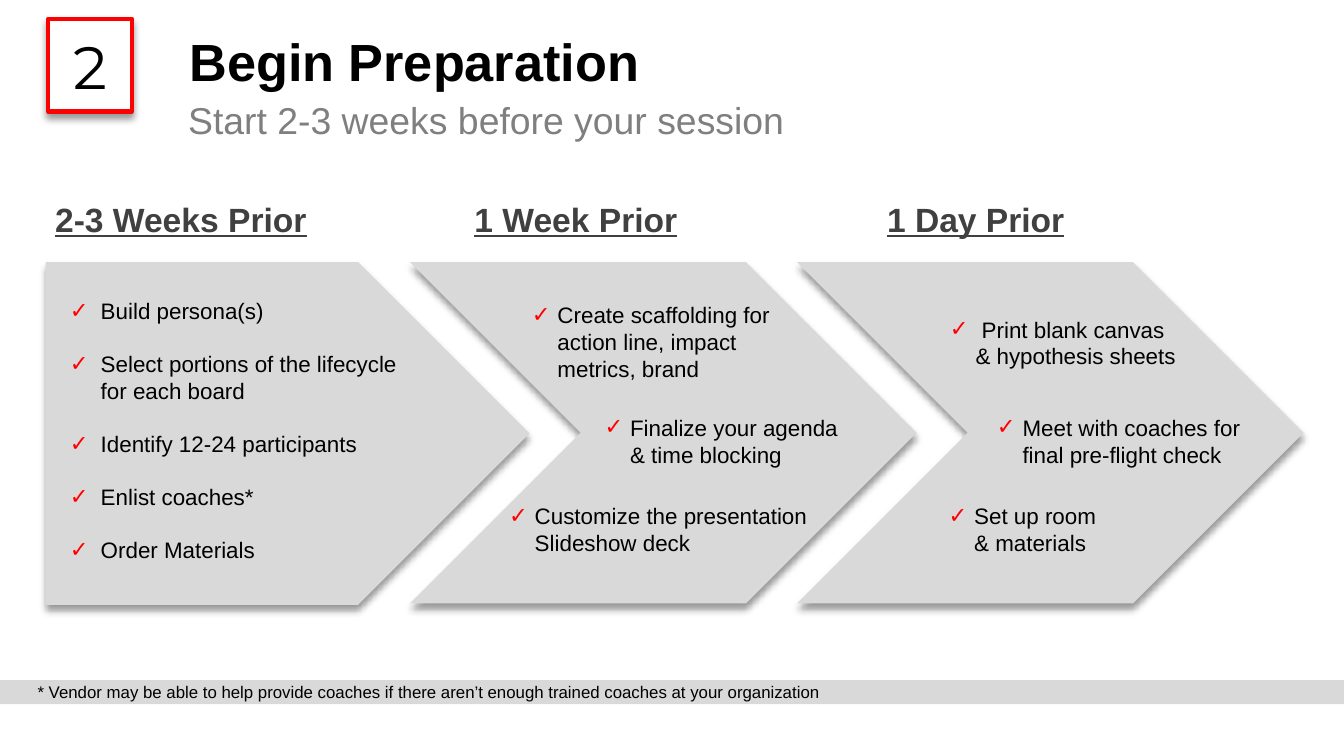
from lxml.etree import SubElement
from pptx import Presentation
from pptx.dml.color import RGBColor
from pptx.enum.shapes import MSO_SHAPE
from pptx.enum.text import MSO_ANCHOR, PP_ALIGN
from pptx.oxml import parse_xml
from pptx.oxml.ns import nsdecls, qn
from pptx.util import Inches, Pt

# A 16:9 page with a grid of 100 columns and square cells
deck = Presentation()
deck.slide_width = Inches(10)
deck.slide_height = deck.slide_width * 9 // 16
CELL = deck.slide_width // 100
page = deck.slides.add_slide(deck.slide_layouts[5])
color = RGBColor.from_string
GRAY, RED, BLACK, WHITE = "D9D9D9", "FF0000", "000000", "FFFFFF"


def add_panel(kind, area, fill, shadow=True):
    """Add a filled shape without outline; area is in grid cells."""
    panel = page.shapes.add_shape(kind, *(round(n * CELL) for n in area))
    panel.fill.solid()
    panel.fill.fore_color.rgb = color(fill)
    panel.line.fill.background()
    panel.shadow.inherit = False
    if shadow:
        effects = panel._element.spPr.find(qn("a:effectLst"))
        effects.append(parse_xml(
            f'<a:outerShdw {nsdecls("a")} blurRad="{Pt(4)}" dist="{Pt(3)}" '
            f'dir="5400000" algn="t" rotWithShape="0"><a:srgbClr val="{BLACK}">'
            '<a:alpha val="40000"/></a:srgbClr></a:outerShdw>'))
    return panel


def write(box, lines, size, ink=BLACK, font="Arial", bold=False, inset=0, indent=0):
    """Fill a shape with paragraphs; an indent in inches gives red check marks."""
    frame = box.text_frame
    frame.word_wrap = True
    frame.vertical_anchor = MSO_ANCHOR.TOP
    frame.margin_left = frame.margin_right = Inches(inset)
    frame.margin_top = frame.margin_bottom = Inches(inset / 2)
    for index, line in enumerate(lines):
        para = frame.add_paragraph() if index else frame.paragraphs[0]
        para.text = line
        para.alignment = PP_ALIGN.LEFT
        if indent:
            props = para._p.get_or_add_pPr()
            props.set("marL", str(Inches(indent)))
            props.set("indent", str(-Inches(indent)))
            bullet_color = SubElement(props, qn("a:buClr"))
            SubElement(bullet_color, qn("a:srgbClr"), val=RED)
            SubElement(props, qn("a:buFont"), typeface=font)
            SubElement(props, qn("a:buChar"), char="✓")
        para.font.size = Pt(size)
        para.font.name = font
        para.font.bold = bold
        para.font.color.rgb = color(ink)
    return frame


# Footer band
add_panel(MSO_SHAPE.RECTANGLE, (0, 50.6, 100, 1.8), GRAY, shadow=False)

# Title
title = page.shapes.title
title.left, title.top, title.width, title.height = (
    round(n * CELL) for n in (14.1, 2.2, 83.7, 4.7))
write(title, ["Begin Preparation"], 28, bold=True)

# Step number
badge = add_panel(MSO_SHAPE.RECTANGLE, (3.6, 1.4, 6.2, 6.9), WHITE)
badge.line.color.rgb = color(RED)
badge.line.width = Pt(2.25)
number = write(badge, ["2"], 32, font="Montserrat")
number.vertical_anchor = MSO_ANCHOR.MIDDLE
number.paragraphs[0].alignment = PP_ALIGN.CENTER

# Timeline arrows
add_panel(MSO_SHAPE.PENTAGON, (3.4, 19.5, 36, 25.5), GRAY)
for left in (30.5, 59.3):
    add_panel(MSO_SHAPE.CHEVRON, (left, 19.5, 37.7, 25.4), GRAY)

# Subtitle and footnote
plain_texts = [
    ((14, 7.2, 84, 3.5), "Start 2-3 weeks before your session", 20, "7F7F7F"),
    ((2.8, 50.7, 58.6, 3.8), "* Vendor may be able to help provide coaches if there "
     "aren’t enough trained coaches at your organization", 9, BLACK),
]
for area, text, size, ink in plain_texts:
    box = page.shapes.add_textbox(*(round(n * CELL) for n in area))
    write(box, [text], size, ink)

# Phase headings on tab stops
box = page.shapes.add_textbox(*(round(n * CELL) for n in (4.1, 13.8, 91.1, 5)))
headings = write(box, [""], 18, "404040", bold=True)
headings.vertical_anchor = MSO_ANCHOR.MIDDLE
para = headings.paragraphs[0]
props = para._p.get_or_add_pPr()
tabs = parse_xml(f'<a:tabLst {nsdecls("a")}/>')
for stop in (3.12, 6.19):
    SubElement(tabs, qn("a:tab"), pos=str(Inches(stop)), algn="l")
props.insert(0, tabs)
for index, heading in enumerate(["2-3 Weeks Prior", "1 Week Prior", "1 Day Prior"]):
    if index:
        para.add_run().text = "\t"
    span = para.add_run()
    span.text = heading
    span.font.underline = True

# First phase checklist
box = page.shapes.add_textbox(*(round(n * CELL) for n in (5.2, 22.1, 26.4, 23.3)))
checklist = write(box, [
    "Build persona(s)",
    "Select portions of the lifecycle for each board",
    "Identify 12-24 participants",
    "Enlist coaches*",
    "Order Materials",
], 12, indent=0.23)
for index, para in enumerate(checklist.paragraphs):
    para.space_before = Pt(12 if index else 0)
    para.space_after = Pt(2)

# Tasks of the second and third phases
tasks = [
    ((38.6, 21.9, 20, 7.1), "Create scaffolding for action line, impact metrics, brand"),
    ((44, 30.3, 20.3, 5), "Finalize your agenda & time blocking"),
    ((36.9, 36.9, 24.5, 5), "Customize the presentation Slideshow deck"),
    ((69.7, 23, 19, 5), " Print blank canvas & hypothesis sheets"),
    ((73.2, 30.3, 20.3, 5), "Meet with coaches for final pre-flight check"),
    ((69.6, 36.9, 14.5, 5), "Set up room & materials"),
]
for area, task in tasks:
    box = page.shapes.add_textbox(*(round(n * CELL) for n in area))
    write(box, [task], 12, inset=0.1, indent=0.19)

deck.save("out.pptx")
